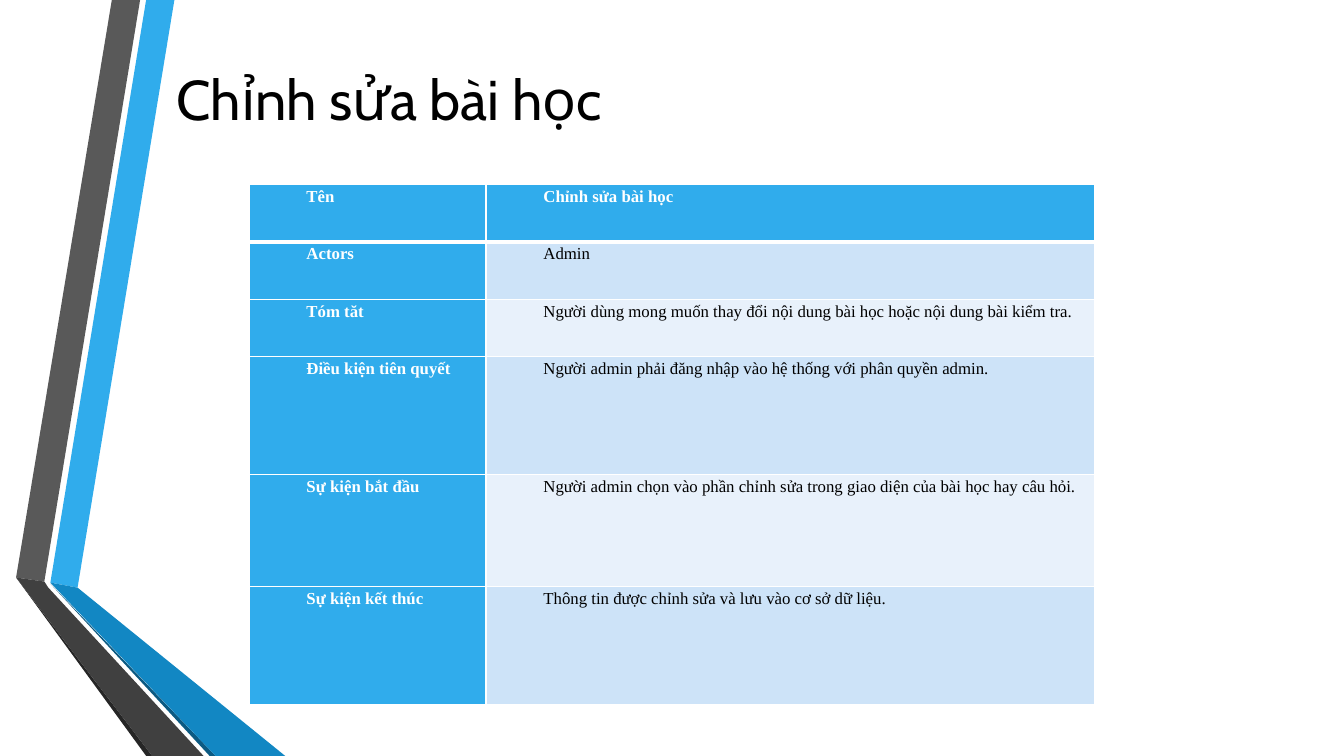
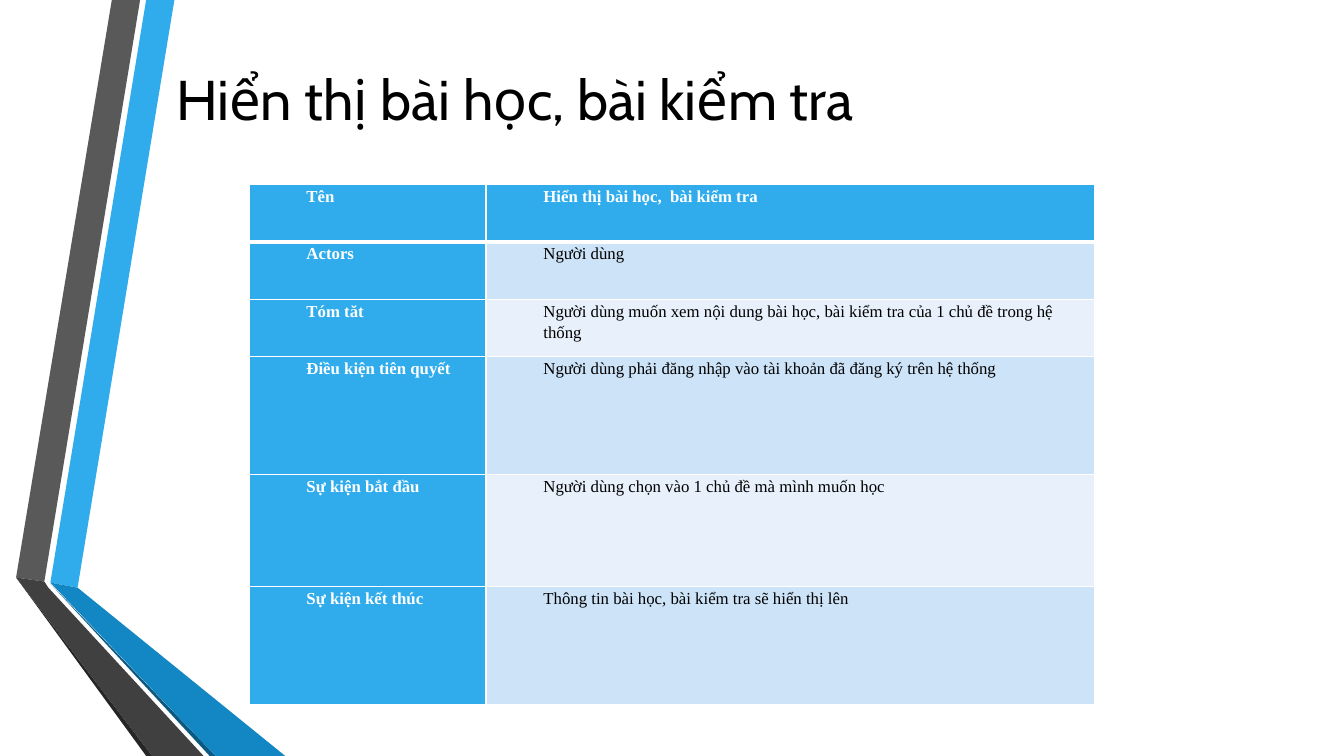
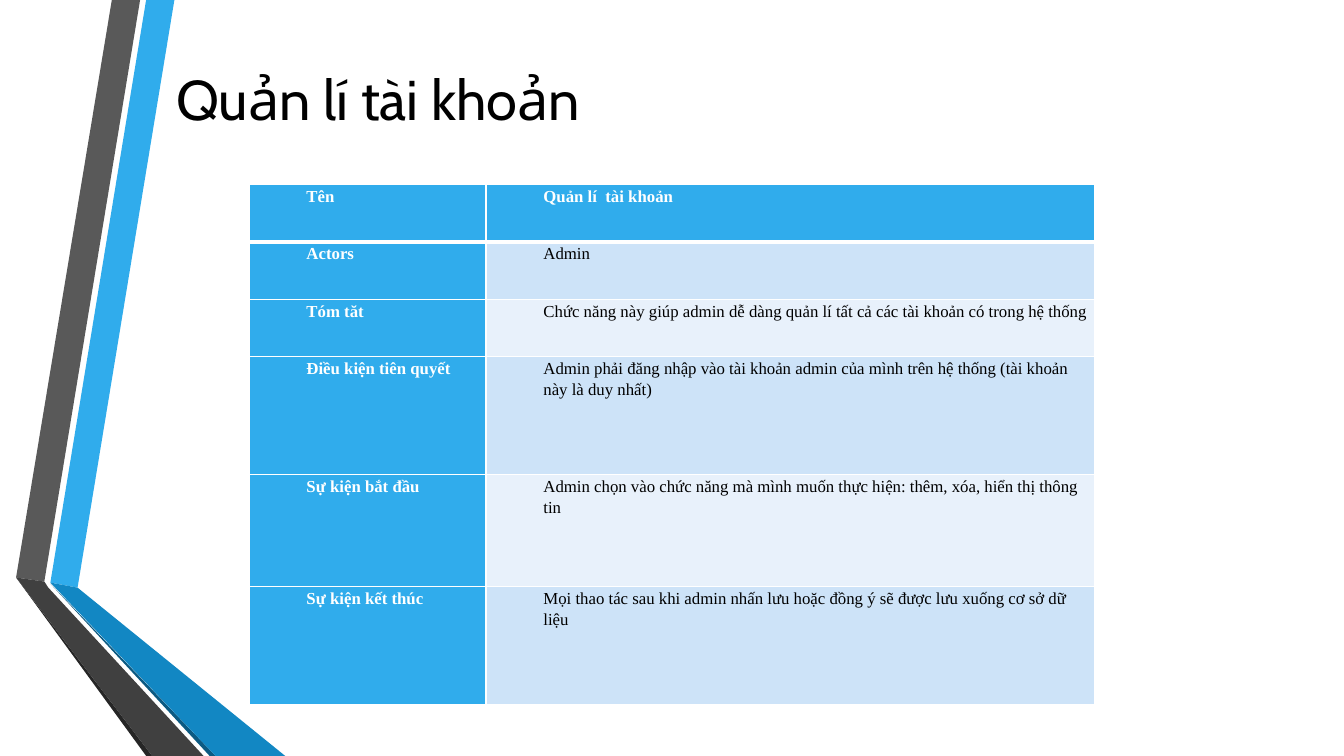
"""Build three use-case slides, each with a title and a description table."""
from lxml import etree
from pptx import Presentation
from pptx.dml.color import RGBColor
from pptx.enum.text import MSO_ANCHOR
from pptx.oxml.ns import qn
from pptx.util import Inches, Pt

MIDDLE = MSO_ANCHOR.MIDDLE

WHITE = RGBColor(0xFF, 0xFF, 0xFF)
BLACK = RGBColor(0x00, 0x00, 0x00)
BLUE = RGBColor(0x30, 0xAC, 0xEC)
BLUE_MID = RGBColor(0x12, 0x87, 0xC3)
BLUE_DARK = RGBColor(0x0C, 0x5A, 0x82)
GRAY = RGBColor(0x59, 0x59, 0x59)
GRAY_MID = RGBColor(0x40, 0x40, 0x40)
GRAY_DARK = RGBColor(0x26, 0x26, 0x26)
BAND_ODD = RGBColor(0xCD, 0xE3, 0xF8)
BAND_EVEN = RGBColor(0xE8, 0xF1, 0xFB)

TITLE_FONT = "Cabin"
TABLE_FONT = "Times New Roman"

RIBBONS = [
    (BLUE, [(0.5, 5.78), (0.77, 5.83), (1.73, 0), (1.45, 0)]),
    (GRAY, [(1.39, 0), (1.11, 0), (0.16, 5.73), (0.44, 5.77)]),
    (GRAY_DARK, [(0.16, 5.73), (1.45, 7.5), (1.51, 7.5)]),
    (BLUE_DARK, [(0.5, 5.79), (2.08, 7.5), (2.14, 7.5)]),
    (BLUE_MID, [(0.5, 5.78), (2.14, 7.5), (2.83, 7.5), (0.77, 5.83)]),
    (GRAY_MID, [(0.16, 5.73), (1.51, 7.5), (2.02, 7.5), (0.48, 5.83), (0.44, 5.77)]),
]

COL_WIDTHS = [2.35, 6.04]
ROW_HEIGHTS = [0.57, 0.57, 0.57, 1.17, 1.11, 1.17]
LABELS = ["Tên", "Actors", "Tóm tăt", "Điều kiện tiên quyết",
          "Sự kiện bắt đầu", "Sự kiện kết thúc"]

USE_CASES = [
    ("Chỉnh sửa bài học", [
        "Chỉnh sửa bài học",
        "Admin",
        "Người dùng mong muốn thay đổi nội dung bài học hoặc nội dung bài kiểm tra.",
        "Người admin phải đăng nhập vào hệ thống với phân quyền admin.",
        "Người admin chọn vào phần chỉnh sửa trong giao diện của bài học hay câu hỏi.",
        "Thông tin được chỉnh sửa và lưu vào cơ sở dữ liệu.",
    ]),
    ("Hiển thị bài học, bài kiểm tra", [
        "Hiển thị bài học,  bài kiểm tra",
        "Người dùng",
        "Người dùng muốn xem nội dung bài học, bài kiểm tra của 1 chủ đề trong hệ thống",
        "Người dùng phải đăng nhập vào tài khoản đã đăng ký trên hệ thống",
        "Người dùng chọn vào 1 chủ đề mà mình muốn học",
        "Thông tin bài học, bài kiểm tra sẽ hiển thị lên",
    ]),
    ("Quản lí tài khoản", [
        "Quản lí  tài khoản",
        "Admin",
        "Chức năng này giúp admin dễ dàng quản lí tất cả các tài khoản có trong hệ thống",
        "Admin phải đăng nhập vào tài khoản admin của mình trên hệ thống "
        "(tài khoản này là duy nhất)",
        "Admin chọn vào chức năng mà mình muốn thực hiện: thêm, xóa, hiển thị thông tin",
        "Mọi thao tác sau khi admin nhấn lưu hoặc đồng ý sẽ được lưu xuống cơ sở dữ liệu",
    ]),
]


def add_run(p, text, font, size, color, bold=False):
    r = p.add_run()
    r.text = text
    r.font.name = font
    r.font.size = Pt(size)
    r.font.color.rgb = color
    r.font.bold = bold


def add_ribbons(slide):
    group = slide.shapes.add_group_shape()
    for color, points in RIBBONS:
        corners = [(Inches(x), Inches(y)) for x, y in points]
        builder = group.shapes.build_freeform(*corners[0])
        builder.add_line_segments(corners[1:], close=True)
        sp = builder.convert_to_shape()
        sp.shadow.inherit = False
        sp.fill.solid()
        sp.fill.fore_color.rgb = color
        sp.line.fill.background()


def add_title(slide, text):
    sp = slide.shapes.add_textbox(Inches(1.65), Inches(0.01), Inches(10.96), Inches(1.92))
    tf = sp.text_frame
    tf.word_wrap = True
    tf.vertical_anchor = MIDDLE
    add_run(tf.paragraphs[0], text, TITLE_FONT, 40, BLACK)


def set_borders(cell, top, bottom):
    tcPr = cell._tc.get_or_add_tcPr()
    widths = {"a:lnL": 1, "a:lnR": 1, "a:lnT": top, "a:lnB": bottom}
    for i, (tag, width) in enumerate(widths.items()):
        ln = etree.Element(qn(tag), w=str(Pt(width)))
        fill = etree.SubElement(ln, qn("a:solidFill"))
        etree.SubElement(fill, qn("a:srgbClr"), val=str(WHITE))
        tcPr.insert(i, ln)


def fill_cell(cell, text, fill, color, bold):
    cell.margin_left = cell.margin_right = Inches(0.07)
    cell.margin_top = cell.margin_bottom = 0
    cell.fill.solid()
    cell.fill.fore_color.rgb = fill
    p = cell.text_frame.paragraphs[0]
    p.line_spacing = 1.15
    p.space_after = Pt(10)
    pPr = p._p.get_or_add_pPr()
    pPr.set("marL", str(Inches(0.5)))
    pPr.set("indent", "0")
    add_run(p, text, TABLE_FONT, 12, color, bold)


def add_use_case_table(slide, values):
    frame = slide.shapes.add_table(
        len(LABELS), len(COL_WIDTHS), Inches(2.47), Inches(1.83),
        Inches(sum(COL_WIDTHS)), Inches(sum(ROW_HEIGHTS)))
    table = frame.table
    table.first_row = False
    table.horz_banding = False
    for column, width in zip(table.columns, COL_WIDTHS):
        column.width = Inches(width)
    for i, row in enumerate(zip(LABELS, values)):
        table.rows[i].height = Inches(ROW_HEIGHTS[i])
        for j, text in enumerate(row):
            cell = table.cell(i, j)
            if i == 0 or j == 0:
                fill_cell(cell, text, BLUE, WHITE, True)
            else:
                fill_cell(cell, text, BAND_ODD if i % 2 else BAND_EVEN, BLACK, False)
            set_borders(cell, top=3 if i == 1 else 1, bottom=3 if i == 0 else 1)


def main():
    prs = Presentation()
    prs.slide_width = Inches(13.33)
    prs.slide_height = Inches(7.5)
    for title, values in USE_CASES:
        slide = prs.slides.add_slide(prs.slide_layouts[6])
        add_ribbons(slide)
        add_title(slide, title)
        add_use_case_table(slide, values)
    prs.save("out.pptx")


if __name__ == "__main__":
    main()
